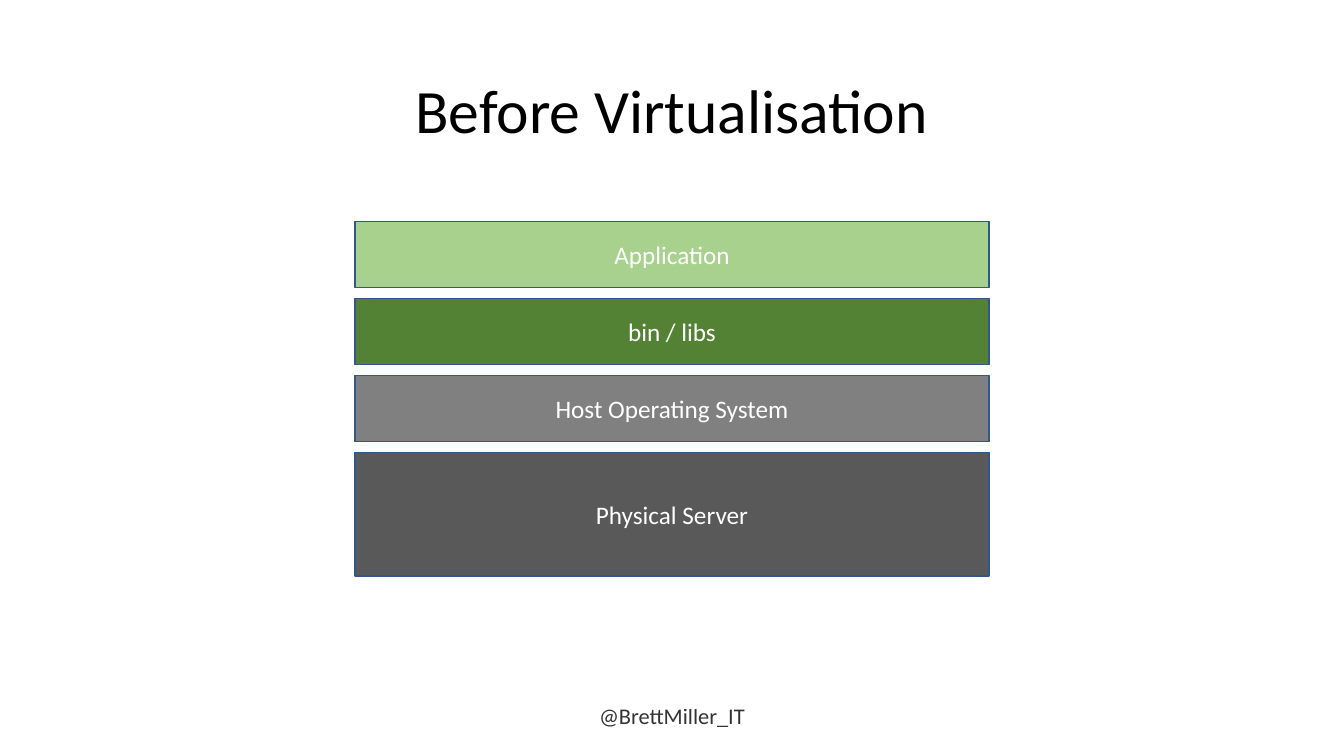
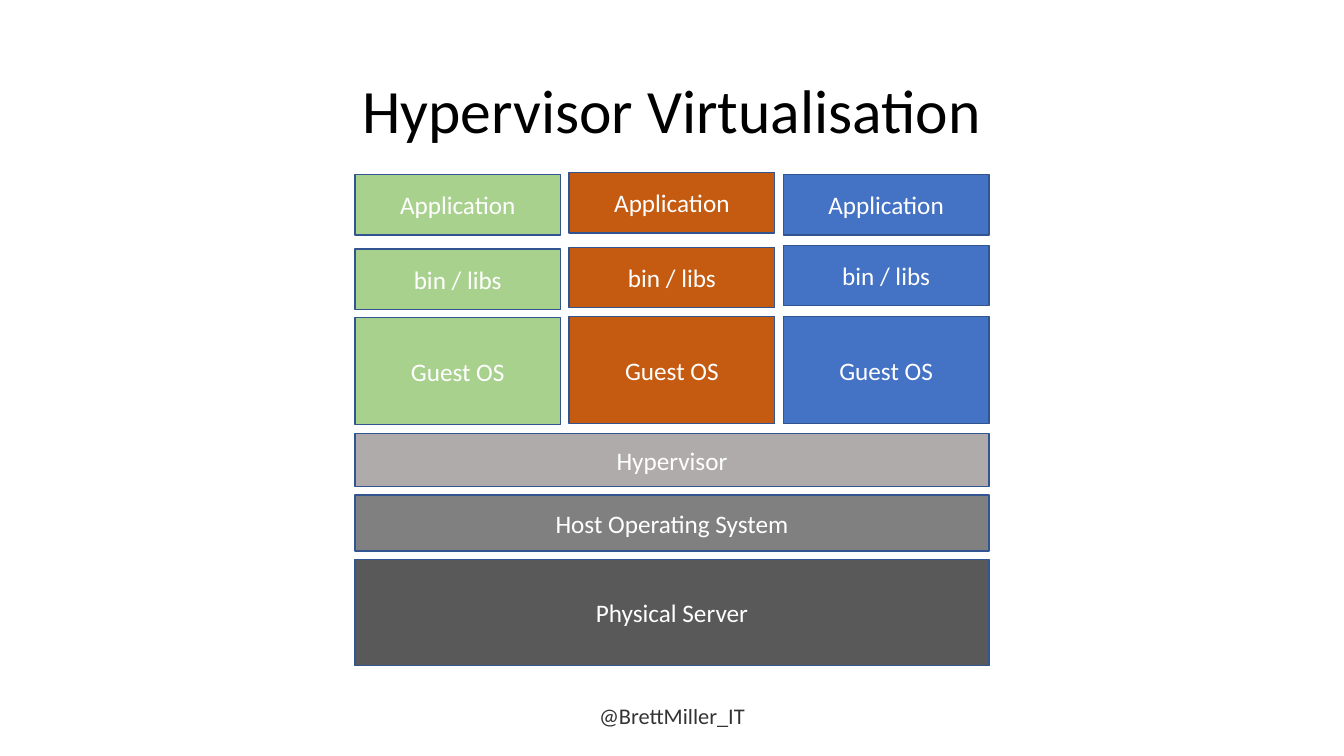
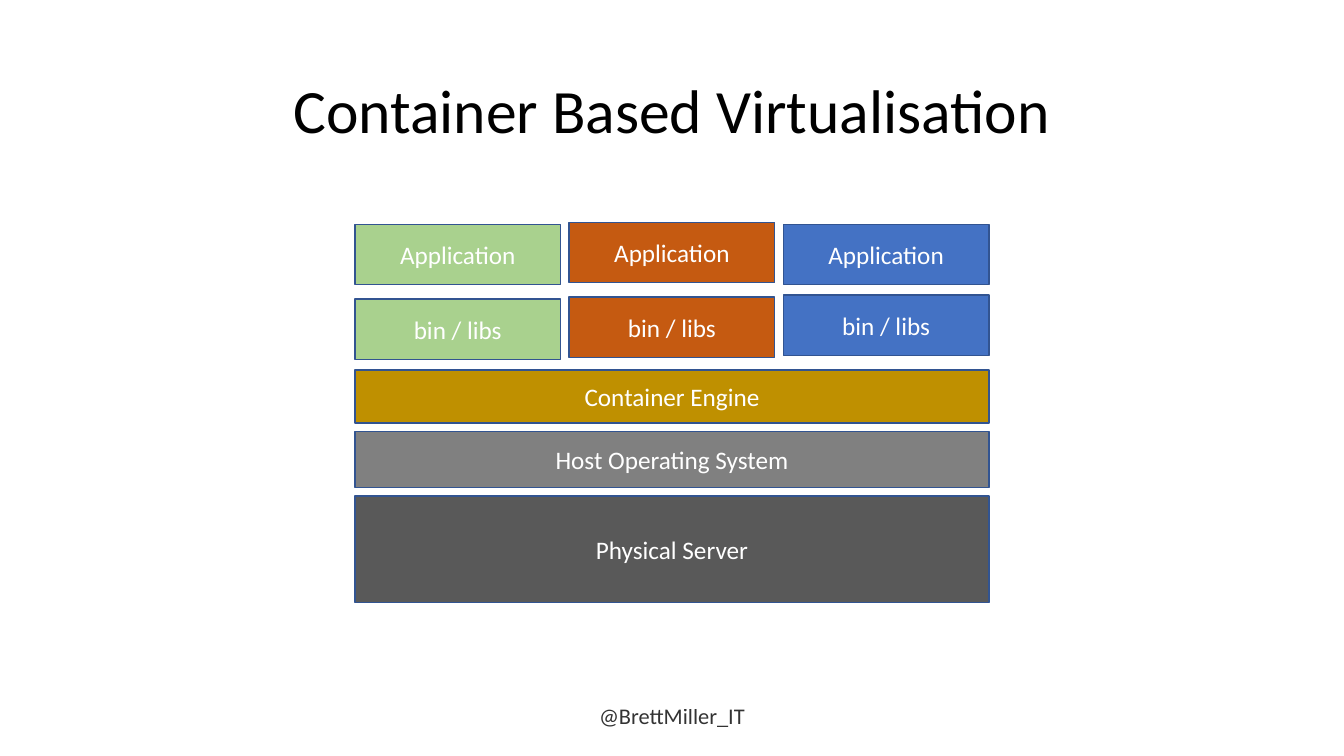
from dataclasses import dataclass

from lxml import etree
from pptx import Presentation
from pptx.dml.color import RGBColor
from pptx.enum.shapes import MSO_SHAPE
from pptx.enum.text import MSO_ANCHOR, MSO_AUTO_SIZE, PP_ALIGN
from pptx.oxml.ns import qn
from pptx.util import Pt

RECTANGLE = MSO_SHAPE.RECTANGLE
MIDDLE = MSO_ANCHOR.MIDDLE
NO_AUTOFIT = MSO_AUTO_SIZE.NONE
CENTER = PP_ALIGN.CENTER

BLACK = RGBColor(0x00, 0x00, 0x00)
WHITE = RGBColor(0xFF, 0xFF, 0xFF)
OUTLINE = RGBColor(0x32, 0x54, 0x91)
LIGHT_GREEN = RGBColor(0xA9, 0xD1, 0x8E)
DARK_GREEN = RGBColor(0x54, 0x82, 0x35)
ORANGE = RGBColor(0xC5, 0x5A, 0x11)
BLUE = RGBColor(0x44, 0x72, 0xC4)
GOLD = RGBColor(0xBF, 0x90, 0x00)
LIGHT_GREY = RGBColor(0xAF, 0xAB, 0xAB)
MID_GREY = RGBColor(0x80, 0x80, 0x80)
DARK_GREY = RGBColor(0x59, 0x59, 0x59)
TENANT_FILLS = (LIGHT_GREEN, ORANGE, BLUE)

FONT = "Calibri"
FOOTER = "@BrettMiller_IT"
TITLE_ONLY = 5
STACK_LEFT = 253.5
STACK_WIDTH = 453
COLUMN_GAP = 6
ROW_GAP = 6


@dataclass(frozen=True)
class Row:
    label: str
    top: float
    height: float
    fills: tuple[RGBColor, ...]
    offsets: tuple[float, ...] = (0, 0, 0)


@dataclass(frozen=True)
class Diagram:
    title: str
    rows: list[Row]


def stack_rows(top: float, gap: float,
               layers: list[tuple[str, float, RGBColor]]) -> list[Row]:
    rows = []
    for label, height, fill in layers:
        rows.append(Row(label, top, height, (fill,)))
        top += height + gap
    return rows


def tenant_rows(top: float) -> list[Row]:
    return [
        Row("Application", top, 43.2, TENANT_FILLS, (1.4, 0, 1.4)),
        Row("bin / libs", top + 52, 43.2, TENANT_FILLS, (2.8, 1.4, 0)),
    ]


def platform_rows(top: float, label: str, fill: RGBColor) -> list[Row]:
    return stack_rows(top, ROW_GAP, [
        (label, 38, fill),
        ("Host Operating System", 40, MID_GREY),
        ("Physical Server", 76, DARK_GREY),
    ])


def write_text(shape, text: str, *, size: float, colour: RGBColor,
               opacity: int = 100, line_spacing: float = 1,
               space_after: float = 0) -> None:
    frame = shape.text_frame
    frame.word_wrap = True
    frame.auto_size = NO_AUTOFIT
    frame.vertical_anchor = MIDDLE
    para = frame.paragraphs[0]
    para.alignment = CENTER
    para.line_spacing = line_spacing
    para.space_before = Pt(0)
    para.space_after = Pt(space_after)
    span = para.add_run()
    span.text = text
    span.font.name = FONT
    span.font.size = Pt(size)
    span.font.color.rgb = colour
    if opacity < 100:
        for tint in frame._txBody.iter(qn("a:srgbClr")):
            etree.SubElement(tint, qn("a:alpha")).set("val", str(opacity * 1000))


def draw_row(group, row: Row) -> None:
    count = len(row.fills)
    width = (STACK_WIDTH - COLUMN_GAP * (count - 1)) / count
    for column, (fill, offset) in enumerate(zip(row.fills, row.offsets)):
        left = STACK_LEFT + column * (width + COLUMN_GAP)
        box = group.shapes.add_shape(RECTANGLE, Pt(left), Pt(row.top + offset),
                                     Pt(width), Pt(row.height))
        box.shadow.inherit = False
        box.fill.solid()
        box.fill.fore_color.rgb = fill
        box.line.color.rgb = OUTLINE
        box.line.width = Pt(1)
        write_text(box, row.label, size=18, colour=WHITE)


def add_page(deck, diagram: Diagram) -> None:
    page = deck.slides.add_slide(deck.slide_layouts[TITLE_ONLY])
    title = page.shapes.title
    title.left, title.top = Pt(66), Pt(28.8)
    title.width, title.height = Pt(828), Pt(104.4)
    write_text(title, diagram.title, size=44, colour=BLACK, line_spacing=0.9)
    group = page.shapes.add_group_shape()
    for row in diagram.rows:
        draw_row(group, row)
    footer = page.shapes.add_textbox(Pt(318), Pt(496.8), Pt(324), Pt(28.8))
    write_text(footer, FOOTER, size=16, colour=BLACK, opacity=80, space_after=6)


def main() -> None:
    deck = Presentation()
    deck.slide_width, deck.slide_height = Pt(960), Pt(540)
    diagrams = [
        Diagram("Before Virtualisation", stack_rows(158.4, 8, [
            ("Application", 47, LIGHT_GREEN),
            ("bin / libs", 47, DARK_GREEN),
            ("Host Operating System", 47, MID_GREY),
            ("Physical Server", 88, DARK_GREY),
        ])),
        Diagram("Hypervisor Virtualisation", [
            *tenant_rows(123.2),
            Row("Guest OS", 226, 76.6, TENANT_FILLS, (0.8, 0, 0)),
            *platform_rows(309.6, "Hypervisor", LIGHT_GREY),
        ]),
        Diagram("Container Based Virtualisation", [
            *tenant_rows(158.8),
            *platform_rows(264.2, "Container Engine", GOLD),
        ]),
    ]
    for diagram in diagrams:
        add_page(deck, diagram)
    deck.save("out.pptx")


if __name__ == "__main__":
    main()
